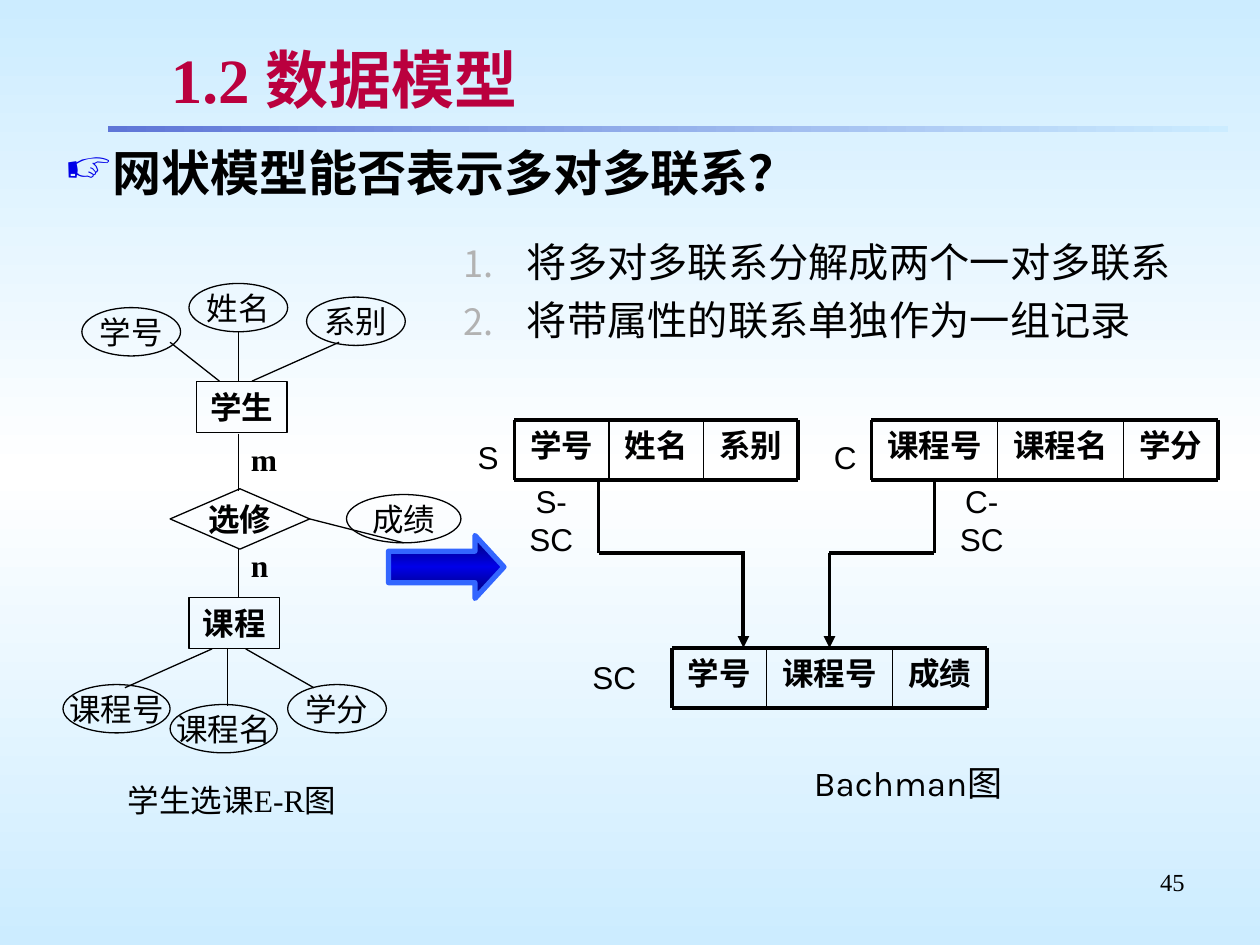
from collections import namedtuple

from lxml import etree
from pptx import Presentation
from pptx import util as u
from pptx.dml.color import RGBColor
from pptx.enum import shapes, text
from pptx.oxml.ns import qn

BLACK = RGBColor(0x00, 0x00, 0x00)
CRIMSON = RGBColor(0xBA, 0x00, 0x3E)
SKY = RGBColor(0xCC, 0xEC, 0xFF)
WHITE = RGBColor(0xFF, 0xFF, 0xFF)
PERIWINKLE = RGBColor(0x5F, 0x76, 0xD7)
BLUE = RGBColor(0x00, 0x00, 0xE8)
NAVY = RGBColor(0x00, 0x00, 0x6B)
EDGE_BLUE = RGBColor(0x33, 0x66, 0xFF)
GRAY = RGBColor(0xB2, 0xB2, 0xB2)

SERIF, SANS, CAPTION = "Times New Roman", "Arial", "Karla"
LEFT, CENTER, RIGHT = text.PP_ALIGN.LEFT, text.PP_ALIGN.CENTER, text.PP_ALIGN.RIGHT
TOP, MIDDLE = text.MSO_ANCHOR.TOP, text.MSO_ANCHOR.MIDDLE
KIND = shapes.MSO_SHAPE

COLUMNS, ROWS = 120, 90  # slide grid with square cells
CELL = u.Inches(10) / COLUMNS


class Box(namedtuple("Box", "col row cols rows")):
    """An area of the slide grid."""

    def inner(self, col, row, cols, rows):
        return Box(self.col + col, self.row + row, cols, rows)

    def emu(self):
        return [u.Emu(round(value * CELL)) for value in self]


def sub(parent, tag, **attributes):
    return etree.SubElement(parent, qn(tag), attributes)


def gradient(fill, owner, colors, angle):
    fill.gradient()
    fill.gradient_angle = angle
    stops = next(owner.iter(qn("a:gsLst")))
    for stop in list(stops):
        stops.remove(stop)
    for i, color in enumerate(colors):
        stop = sub(stops, "a:gs", pos=str(100000 * i // (len(colors) - 1)))
        sub(stop, "a:srgbClr", val=str(color))


def add_bullet(paragraph, indent, color, percent, char=None):
    props = paragraph._p.get_or_add_pPr()
    props.set("marL", str(u.Inches(indent)))
    props.set("indent", str(-u.Inches(indent)))
    sub(sub(props, "a:buClr"), "a:srgbClr", val=str(color))
    sub(props, "a:buSzPct", val=str(percent * 1000))
    if char:
        sub(props, "a:buChar", char=char)
    else:
        sub(props, "a:buAutoNum", type="arabicPeriod")


def write(shape, words, size=18, font=SERIF, color=BLACK, bold=False, align=CENTER,
          anchor=MIDDLE, wrap=False, bullet=None, gap=0):
    frame = shape.text_frame
    frame.word_wrap = wrap
    frame.vertical_anchor = anchor
    for i, line in enumerate(words.split("\n")):
        paragraph = frame.add_paragraph() if i else frame.paragraphs[0]
        if bullet:
            add_bullet(paragraph, **bullet)
        paragraph.alignment = align
        if i:
            paragraph.space_before = u.Pt(gap)
        run = paragraph.add_run()
        run.text = line
        run.font.size, run.font.name, run.font.bold = u.Pt(size), font, bold
        run.font.color.rgb = color
    return shape


def label(slide, box, words, **style):
    return write(slide.shapes.add_textbox(*box.emu()), words, **style)


def outline(slide, kind, box, color=BLACK, width=0.75):
    shape = slide.shapes.add_shape(kind, *box.emu())
    shape.shadow.inherit = False
    shape.fill.background()
    shape.line.color.rgb = color
    shape.line.width = u.Pt(width)
    return shape


def rule(slide, box, start, end, width=0.75, arrow=False):
    ends = box.inner(*start, 0, 0).emu()[:2] + box.inner(*end, 0, 0).emu()[:2]
    line = slide.shapes.add_connector(shapes.MSO_CONNECTOR.STRAIGHT, *ends)
    line.line.color.rgb = BLACK
    line.line.width = u.Pt(width)
    if arrow:
        sub(line._element.spPr.find(qn("a:ln")), "a:tailEnd", type="triangle")
    sub(line._element.spPr, "a:effectLst")
    return line


def header(slide, box):
    # Fading rule under the title
    bar = outline(slide, KIND.RECTANGLE, box.inner(0, 8.5, box.cols, 0.6))
    gradient(bar.fill, bar._element, [PERIWINKLE, SKY], 0)
    bar.line.fill.background()
    # Title with a soft shadow behind the letters
    title = label(slide, box.inner(4.8, 0, 98.9, 8), "1.2 数据模型", size=36,
                  color=CRIMSON, bold=True, align=LEFT, wrap=True)
    props = title.text_frame.paragraphs[0].runs[0].font._element
    effects = etree.Element(qn("a:effectLst"))
    shadow = sub(effects, "a:outerShdw", dist="35921", dir="2700000")
    sub(shadow, "a:srgbClr", val=str(GRAY))
    props.find(qn("a:solidFill")).addnext(effects)


def question(slide, box):
    label(slide, box, "网状模型能否表示多对多联系？", size=28, bold=True, align=LEFT,
          anchor=TOP, wrap=True,
          bullet=dict(indent=0.38, color=BLUE, percent=95, char="☞"))


def answers(slide, box):
    label(slide, box, "将多对多联系分解成两个一对多联系\n将带属性的联系单独作为一组记录",
          size=23, font=SANS, align=LEFT, anchor=TOP, wrap=True, gap=5.8,
          bullet=dict(indent=0.5, color=GRAY, percent=90))


def er_diagram(slide, box):
    # Entities and their relationship
    for name, col, row in (("学生", 12.7, 9.35), ("课程", 12, 29.9)):
        write(outline(slide, KIND.RECTANGLE, box.inner(col, row, 8.65, 4.85)), name, bold=True)
    choice = outline(slide, KIND.DIAMOND, box.inner(10.2, 19.55, 13.3, 5.75))
    write(choice, "选修", bold=True)
    for count, row in (("m", 14.3), ("n", 24.4)):
        label(slide, box.inner(16.7, row, 4, 4.8), count, bold=True, align=LEFT, anchor=TOP)
    # Attributes
    attributes = (("学号", 1.8, 2.3, 9.4), ("姓名", 12, 0, 9.4), ("系别", 23.2, 1.3, 9.4),
                  ("课程号", 0, 38.2, 10.2), ("课程名", 10.2, 40.1, 10.2),
                  ("学分", 21.4, 38.2, 9.4), ("成绩", 27, 20.1, 10.9))
    for name, col, row, cols in attributes:
        grade = write(outline(slide, KIND.OVAL, box.inner(col, row, cols, 4.6)), name)
    # Links, top to bottom
    links = (((10.2, 5.6), (14.9, 9.3)), ((16.7, 4.6), (16.7, 9.3)),
             ((26.3, 5.6), (18, 9.3)), ((16.7, 14.3), (16.7, 19.8)),
             ((16.7, 25.3), (16.7, 29.9)), ((14.2, 34.8), (5.9, 38.5)),
             ((15.7, 34.7), (15.7, 40.2)), ((17.4, 34.8), (23.9, 38.5)))
    for start, end in links:
        rule(slide, box, start, end)
    grade_link = rule(slide, box, (23.5, 22.4), (27, 22.4))
    grade_link.begin_connect(choice, 3)
    grade_link.end_connect(grade, 2)
    label(slide, box.inner(2.8, 46.4, 26.6, 5.5), "学生选课E-R图")


def record(slide, box, fields):
    """Draws a row of fields and returns the text box of each."""
    height, col, cells, edges = box.rows, 0, {}, [0]
    for field in fields:
        cols = 3 * len(field) + 3
        cells[field] = label(slide, box.inner(col, 0, cols, height), field,
                             bold=True, anchor=TOP, wrap=True)
        col += cols
        edges.append(col)
    for row in (0, height):
        rule(slide, box, (0, row), (col, row), 2.25)
    for edge in edges:
        rule(slide, box, (edge, 0), (edge, height), 2.25 if edge in (0, col) else 1)
    return cells


def bachman_diagram(slide, box):
    high, low, turn, height = 0, 21.7, 12.7, 5.7
    # Records
    record(slide, box.inner(6, high, 27, height), ("学号", "姓名", "系别"))
    course = record(slide, box.inner(40, high, 33, height), ("课程号", "课程名", "学分"))
    chosen = record(slide, box.inner(21, low, 30, height), ("学号", "课程号", "成绩"))
    # Path from S to SC
    rule(slide, box, (14, height), (14, turn), 2.25)
    rule(slide, box, (14, turn), (28, turn), 2.25)
    rule(slide, box, (27.8, turn), (27.8, low), 2.25, arrow=True)
    # Path from C to SC
    drop = rule(slide, box, (46, height), (46, turn), 2.25)
    drop.begin_connect(course["课程号"], 2)
    rule(slide, box, (36, turn), (46, turn), 2.25)
    entry = rule(slide, box, (36, turn), (36, low), 2.25, arrow=True)
    entry.end_connect(chosen["课程号"], 0)
    # Names of records and sets
    for name, col, row in (("S", 0, 1), ("C", 34, 1), ("S-SC", 6, 7),
                           ("C-SC", 47, 7), ("SC", 12, 22)):
        label(slide, box.inner(col, row, 7, 5), name, font=SANS)
    label(slide, box.inner(26, 32, 35, 5), "Bachman图", size=20, font=CAPTION)


def conversion_arrow(slide, box):
    arrow = outline(slide, KIND.RIGHT_ARROW, box, EDGE_BLUE, 3)
    arrow.adjustments[1] = 0.46
    gradient(arrow.fill, arrow._element, [NAVY, BLUE, NAVY], 90)


def main():
    deck = Presentation()
    deck.slide_width, deck.slide_height = Box(0, 0, COLUMNS, ROWS).emu()[2:]
    slide = deck.slides.add_slide(deck.slide_layouts[6])
    gradient(slide.background.fill, slide.element, [SKY, WHITE, SKY], 90)
    header(slide, Box(10.3, 3.5, 106.7, 9))
    question(slide, Box(5, 13, 111, 7.2))
    er_diagram(slide, Box(6, 27, 38, 52))
    conversion_arrow(slide, Box(37, 51, 11, 6))
    answers(slide, Box(43, 22, 72, 10))
    bachman_diagram(slide, Box(43, 40, 73, 37))
    label(slide, Box(86, 82, 28, 6.2), "45", size=14, align=RIGHT, anchor=TOP, wrap=True)
    deck.save("out.pptx")


if __name__ == "__main__":
    main()
